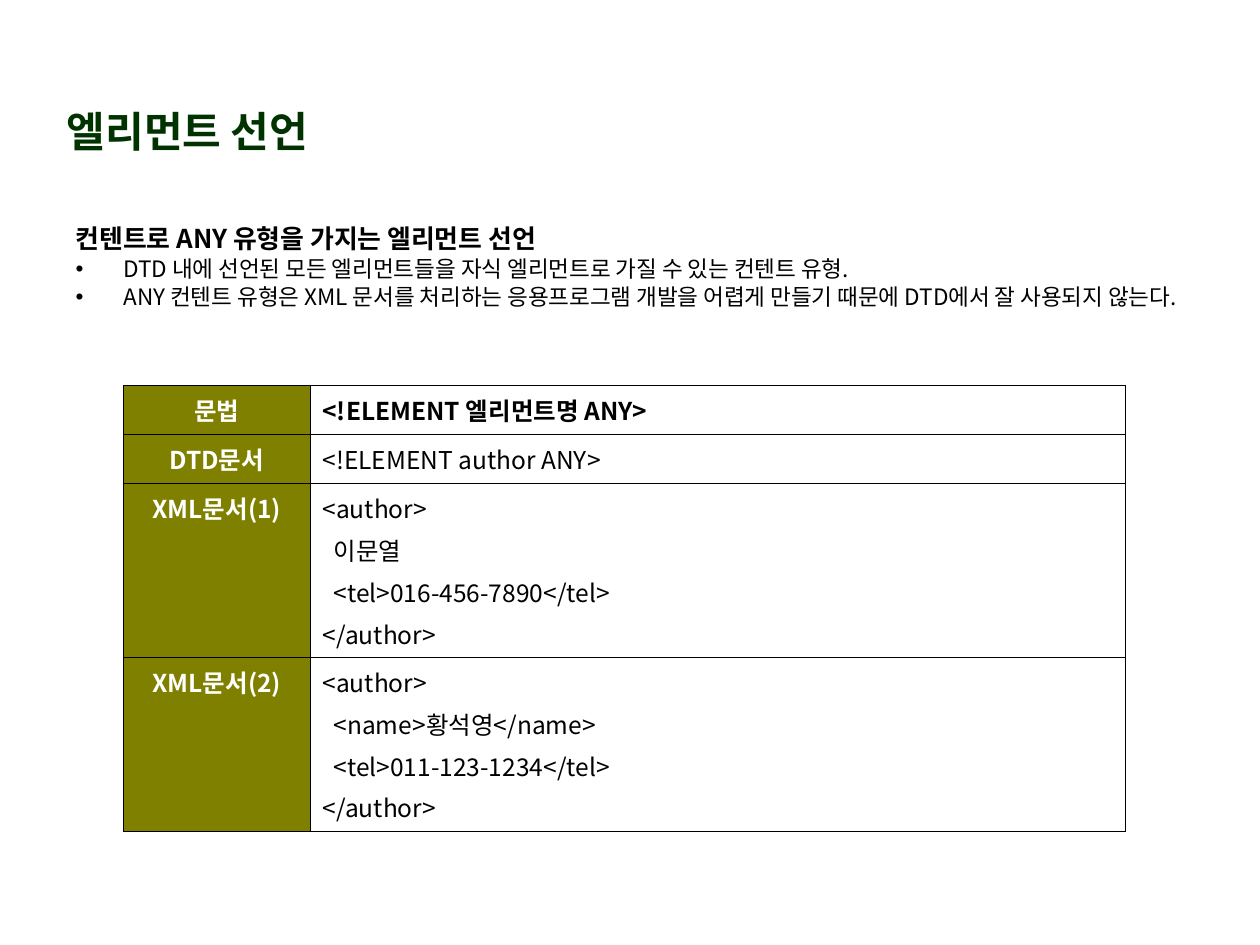
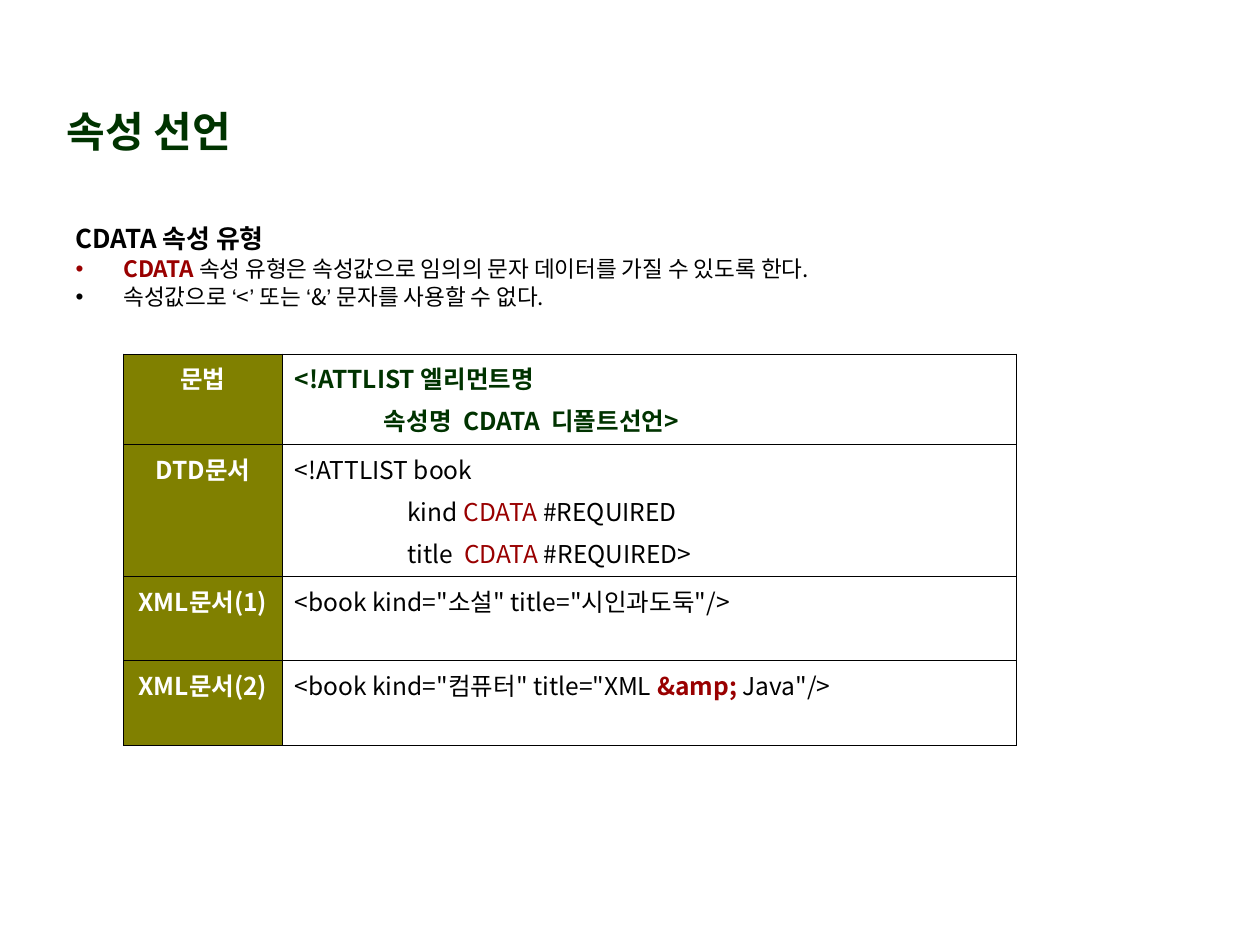
from typing import NamedTuple

from lxml.etree import SubElement
from pptx import Presentation
from pptx.dml.color import RGBColor
from pptx.enum.text import MSO_ANCHOR, MSO_AUTO_SIZE, PP_ALIGN
from pptx.oxml.ns import qn
from pptx.util import Inches, Pt

# Shared look
BLACK = RGBColor(0x00, 0x00, 0x00)
WHITE = RGBColor(0xFF, 0xFF, 0xFF)
DARK_GREEN = RGBColor(0x00, 0x33, 0x00)
OLIVE = RGBColor(0x80, 0x80, 0x00)
RED = RGBColor(0x99, 0x00, 0x00)
KOREAN_FONT = "Noto Sans CJK KR"
QUOTE_FONT = "Arial"
TITLE_BOX = (0.43, 0.76, 4.41, 0.55)
TITLE_SIZE, HEADING_SIZE, BULLET_SIZE, CELL_SIZE = 24, 14.8, 12.9, 14
HANGING = 0.38
BORDER_WIDTH = 0.45
TITLE_AND_CONTENT = 1


class Span(NamedTuple):
    text: str
    color: RGBColor = BLACK
    bold: bool = False
    font: str = KOREAN_FONT


def quote(mark):
    return Span(mark, font=QUOTE_FONT)


def code(*lines):
    """Plain code: one span on each line."""
    return [[Span(line)] for line in lines]


def add_spans(paragraph, spans, size):
    for span in spans:
        run = paragraph.add_run()
        run.text = span.text
        font = run.font
        font.size, font.bold, font.name = Pt(size), span.bold, span.font
        font.color.rgb = span.color
        SubElement(run._r.get_or_add_rPr(), qn("a:ea"), typeface=span.font)


def place(shape, box):
    shape.left, shape.top, shape.width, shape.height = map(Inches, box)


def set_bullet(paragraph, color):
    """Hanging bullet, or no bullet when color is None."""
    props = paragraph._p.get_or_add_pPr()
    hanging = Inches(HANGING) if color is not None else 0
    props.set("marL", str(hanging))
    props.set("indent", str(-hanging))
    if color is None:
        SubElement(props, qn("a:buNone"))
        return
    bullet_color = SubElement(props, qn("a:buClr"))
    SubElement(bullet_color, qn("a:srgbClr"), val=str(color))
    SubElement(props, qn("a:buFont"), typeface="Arial")
    SubElement(props, qn("a:buChar"), char="•")


def set_borders(cell):
    props = cell._tc.get_or_add_tcPr()
    for side in ("lnL", "lnR", "lnT", "lnB"):
        line = SubElement(props, qn(f"a:{side}"), w=str(Pt(BORDER_WIDTH)))
        fill = SubElement(line, qn("a:solidFill"))
        SubElement(fill, qn("a:srgbClr"), val=str(BLACK))


def add_title(slide, text):
    title = slide.shapes.title
    place(title, TITLE_BOX)
    frame = title.text_frame
    frame.auto_size = MSO_AUTO_SIZE.NONE
    frame.vertical_anchor = MSO_ANCHOR.MIDDLE
    frame.paragraphs[0].alignment = PP_ALIGN.LEFT
    add_spans(frame.paragraphs[0], [Span(text, DARK_GREEN, True)], TITLE_SIZE)


def add_description(slide, box, heading, bullets):
    """Bold heading with its bulleted remarks."""
    body = slide.placeholders[1]
    place(body, box)
    frame = body.text_frame
    frame.auto_size = MSO_AUTO_SIZE.NONE
    frame.vertical_anchor = MSO_ANCHOR.TOP
    for index, spans in enumerate([[Span(heading, bold=True)], *bullets]):
        is_heading = index == 0
        paragraph = frame.paragraphs[0] if is_heading else frame.add_paragraph()
        set_bullet(paragraph, None if is_heading else spans[0].color)
        paragraph.line_spacing = 0.86
        paragraph.space_before = Pt(0 if is_heading else 3)
        add_spans(paragraph, spans, HEADING_SIZE if is_heading else BULLET_SIZE)


def fill_cell(cell, lines, background, alignment):
    set_borders(cell)
    cell.fill.solid()
    cell.fill.fore_color.rgb = background
    for index, spans in enumerate(lines):
        paragraph = cell.text_frame.add_paragraph() if index else cell.text_frame.paragraphs[0]
        paragraph.alignment = alignment
        paragraph.space_before = Pt(3.5 if index else 0)
        add_spans(paragraph, spans, CELL_SIZE)


def add_syntax_table(slide, left, top, widths, heights, examples):
    """Olive label column beside the syntax and its examples."""
    labels = ("문법", "DTD문서", "XML문서(1)", "XML문서(2)")
    table = slide.shapes.add_table(
        len(labels), len(widths), Inches(left), Inches(top),
        Inches(sum(widths)), Inches(sum(heights))).table
    table.first_row = table.horz_banding = False
    for column, width in zip(table.columns, widths):
        column.width = Inches(width)
    for row, height, label, lines in zip(table.rows, heights, labels, examples):
        row.height = Inches(height)
        fill_cell(row.cells[0], [[Span(label, WHITE, True)]], OLIVE, PP_ALIGN.CENTER)
        fill_cell(row.cells[1], lines, WHITE, PP_ALIGN.LEFT)


def build_element_slide(slide):
    add_title(slide, "엘리먼트 선언")
    add_description(slide, (0.5, 1.75, 9.07, 1.13), "컨텐트로 ANY 유형을 가지는 엘리먼트 선언", [
        [Span("DTD 내에 선언된 모든 엘리먼트들을 자식 엘리먼트로 가질 수 있는 컨텐트 유형.")],
        [Span("ANY 컨텐트 유형은 XML 문서를 처리하는 응용프로그램 개발을 어렵게 만들기 때문에 "
              "DTD에서 잘 사용되지 않는다.")],
    ])
    add_syntax_table(slide, 0.98, 3.06, (1.48, 6.47), (0.39, 0.39, 1.34, 1.33), [
        [[Span("<!ELEMENT 엘리먼트명 ANY>", bold=True)]],
        code("<!ELEMENT author ANY>"),
        code("<author>", "  이문열", "  <tel>016-456-7890</tel>", "</author>"),
        code("<author>", "  <name>황석영</name>", "  <tel>011-123-1234</tel>", "</author>"),
    ])


def build_attribute_slide(slide):
    add_title(slide, "속성 선언")
    add_description(slide, (0.5, 1.75, 8.99, 0.9), "CDATA 속성 유형", [
        [Span("CDATA ", RED, True),
         Span("속성 유형은 속성값으로 임의의 문자 데이터를 가질 수 있도록 한다.")],
        [Span("속성값으로 "), quote("‘"), Span("<"), quote("’ "), Span("또는 "),
         quote("‘"), Span("&"), quote("’ "), Span("문자를 사용할 수 없다.")],
    ])
    add_syntax_table(slide, 0.98, 2.81, (1.26, 5.83), (0.72, 0.99, 0.65, 0.65), [
        [[Span("<!ATTLIST 엘리먼트명", DARK_GREEN, True)],
         [Span("                속성명  CDATA  디폴트선언>", DARK_GREEN, True)]],
        [[Span("<!ATTLIST book")],
         [Span("\t         kind "), Span("CDATA", RED), Span(" #REQUIRED")],
         [Span("\t         title  "), Span("CDATA", RED), Span(" #REQUIRED>")]],
        code('<book kind="소설" title="시인과도둑"/>'),
        [[Span('<book kind="컴퓨터" title="XML '), Span("&amp;", RED, True),
          Span(' Java"/>')]],
    ])


def main():
    deck = Presentation()
    deck.slide_width, deck.slide_height = Inches(10), Inches(7.5)
    for build in (build_element_slide, build_attribute_slide):
        build(deck.slides.add_slide(deck.slide_layouts[TITLE_AND_CONTENT]))
    deck.save("out.pptx")


if __name__ == "__main__":
    main()
